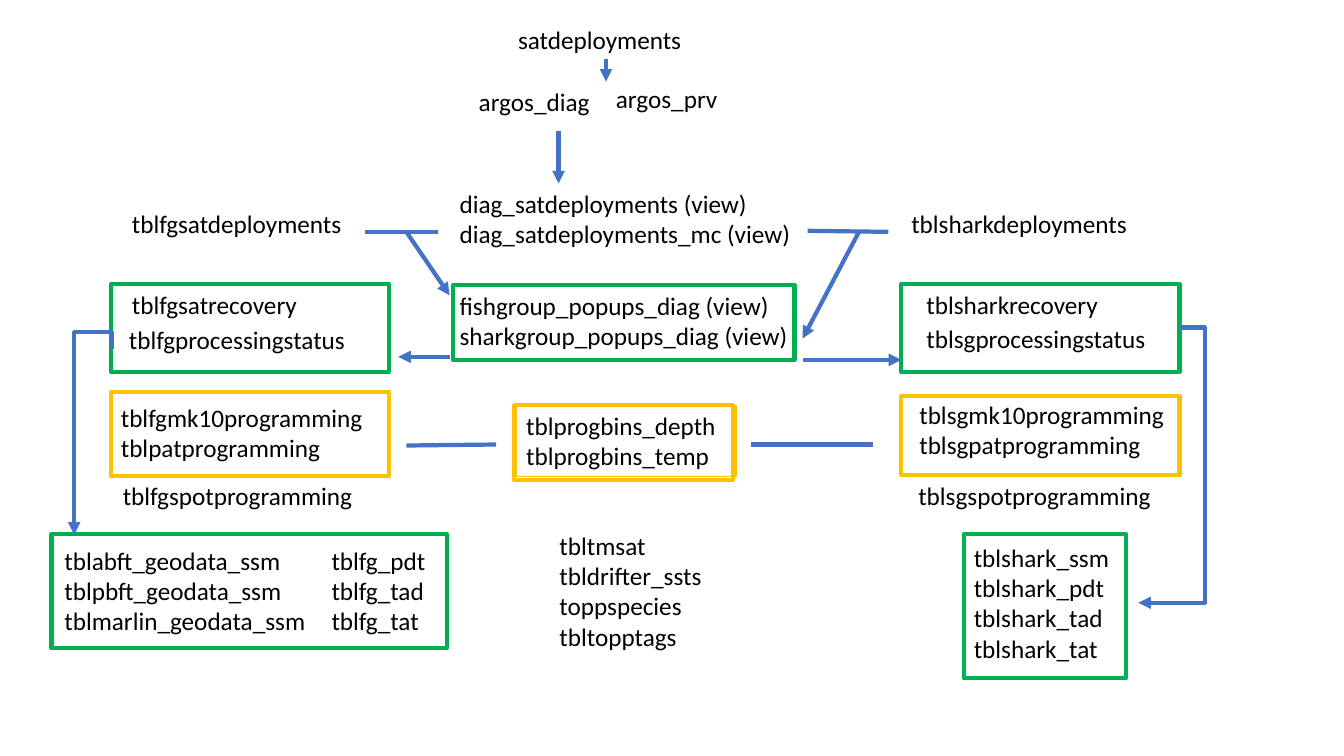
from lxml.etree import SubElement as Sub
from pptx import Presentation
from pptx.dml.color import RGBColor as Rgb
from pptx.enum.shapes import MSO_CONNECTOR as Conn, MSO_SHAPE as Geom
from pptx.enum.text import MSO_ANCHOR as Anchor, MSO_AUTO_SIZE as Auto, PP_ALIGN as Align
from pptx.oxml.ns import qn
from pptx.util import Inches, Pt

HUES = {"text": "000000", "link": "4472C4", "green": "00B050", "gold": "FFC000"}
FONT = {"name": "Calibri", "size": Pt(18)}
FRAME = {"vertical_anchor": Anchor.TOP, "auto_size": Auto.SHAPE_TO_FIT_TEXT}

LABELS = [
    (4.46, 1.82, 3.67, 0.71, "diag_satdeployments (view)\ndiag_satdeployments_mc (view)"),
    (4.65, 0.81, 1.36, 0.4, "argos_diag"),
    (5.04, 0.19, 1.94, 0.4, "satdeployments"),
    (4.46, 2.83, 3.55, 0.71, "fishgroup_popups_diag (view)\nsharkgroup_popups_diag (view)"),
    (1.21, 2.02, 2.29, 0.4, "tblfgsatdeployments"),
    (8.94, 2.02, 2.46, 0.4, "tblsharkdeployments"),
    (1.1, 3.94, 2.65, 0.71, "tblfgmk10programming\ntblpatprogramming"),
    (1.21, 2.82, 2.65, 0.4, "tblfgsatrecovery"),
    (1.18, 3.17, 2.65, 0.4, "tblfgprocessingstatus"),
    (0.54, 5.36, 2.65, 1.01, "tblabft_geodata_ssm\ntblpbft_geodata_ssm\ntblmarlin_geodata_ssm"),
    (3.19, 5.36, 1.85, 1.01, "tblfg_pdt\ntblfg_tad\ntblfg_tat"),
    (9.02, 3.91, 2.7, 0.71, "tblsgmk10programming\ntblsgpatprogramming"),
    (9.09, 2.82, 2.7, 0.4, "tblsharkrecovery"),
    (9.09, 3.16, 2.7, 0.4, "tblsgprocessingstatus"),
    (9.56, 5.33, 1.73, 1.31, "tblshark_ssm\ntblshark_pdt\ntblshark_tad\ntblshark_tat"),
    (5.45, 5.21, 2.48, 1.31, "tbltmsat\ntbldrifter_ssts\ntoppspecies\ntbltopptags"),
]
TIGHT = [
    (6.01, 0.78, 1.22, 0.4, "argos_prv"),
    (1.12, 4.72, 2.5, 0.4, "tblfgspotprogramming"),
    (9.01, 4.72, 2.53, 0.4, "tblsgspotprogramming"),
]
BOXES = {
    "green": [
        (1.1, 2.82, 2.76, 0.87),
        (8.94, 2.82, 2.76, 0.87),
        (4.49, 2.83, 3.39, 0.74),
        (0.51, 5.3, 3.92, 1.13),
        (9.56, 5.3, 1.61, 1.43),
    ],
    "gold": [
        (5.1, 4.02, 2.17, 0.74),
        (8.94, 3.93, 2.76, 0.78),
        (1.1, 3.89, 2.76, 0.83),
    ],
}
ARROWS = [
    (6.01, 0.59, 6.01, 0.81),
    (5.54, 1.3, 5.54, 1.82),
    (4.03, 2.3, 4.46, 2.93),
    (8.52, 2.3, 7.96, 3.36),
    (7.96, 3.57, 8.94, 3.57),
    (4.46, 3.54, 3.95, 3.54),
]
LINES = [
    (4.34, 2.3, 3.62, 2.3),
    (8.81, 2.3, 8.01, 2.29),
    (4.03, 4.42, 4.92, 4.41),
    (7.45, 4.41, 8.66, 4.41),
]


def apply(item, form):
    for key, val in form.items():
        setattr(item, key, val)


def stroke(line, hue, width=3):
    line.color.rgb = Rgb.from_string(HUES[hue])
    line.width = Pt(width)


def write(shape, text, wrap=True):
    frame = shape.text_frame
    frame.text = text
    apply(frame, {**FRAME, "word_wrap": wrap})
    for para in frame.paragraphs:
        para.alignment = Align.LEFT
        apply(para.font, FONT)
        para.font.color.rgb = Rgb.from_string(HUES["text"])


def label(slide, *area, text, wrap=True):
    write(slide.shapes.add_textbox(*map(Inches, area)), text, wrap)


def box(slide, hue, area, width=3):
    shape = slide.shapes.add_shape(Geom.RECTANGLE, *map(Inches, area))
    shape.shadow.inherit = False
    shape.fill.background()
    stroke(shape.line, hue, width)
    return shape


def link(slide, ends, head=True, kind=Conn.STRAIGHT):
    wire = slide.shapes.add_connector(kind, *map(Inches, ends))
    stroke(wire.line, "link")
    props = wire._element.spPr
    if head:
        Sub(props.find(qn("a:ln")), qn("a:tailEnd"), type="triangle")
    Sub(props, qn("a:effectLst"))
    return props


def elbow(slide, ends, bend, turn=0):
    props = link(slide, ends, kind=Conn.ELBOW)
    props.find(qn("a:xfrm")).set("rot", str(turn * 60000))
    guides = props.find(qn("a:prstGeom")).find(qn("a:avLst"))
    Sub(guides, qn("a:gd"), name="adj1", fmla=f"val {bend}")


def main():
    deck = Presentation()
    apply(deck, {"slide_width": Inches(13.33), "slide_height": Inches(7.5)})
    slide = deck.slides.add_slide(deck.slide_layouts[6])
    for *area, text in LABELS:
        label(slide, *area, text=text)
    for *area, text in TIGHT:
        label(slide, *area, text=text, wrap=False)
    bins = box(slide, "gold", (5.12, 4.02, 2.18, 0.71), 0.75)
    write(bins, "tblprogbins_depth\ntblprogbins_temp")
    for hue, areas in BOXES.items():
        for area in areas:
            box(slide, hue, area)
    for ends in ARROWS:
        link(slide, ends)
    for ends in LINES:
        link(slide, ends, head=False)
    elbow(slide, (0, 4.2, 1.84, 4.57), -9200, turn=90)
    elbow(slide, (11.7, 3.25, 11.29, 5.98), -60900)
    deck.save("out.pptx")


main()
